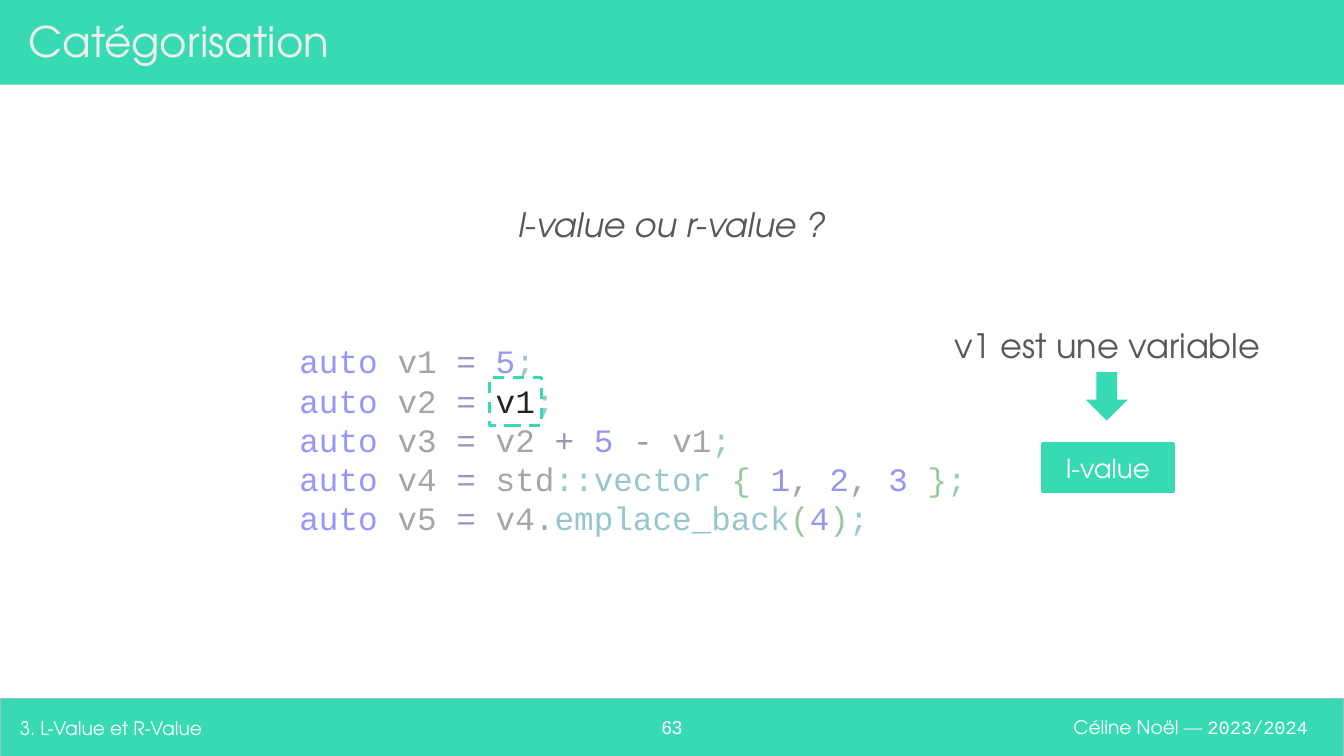
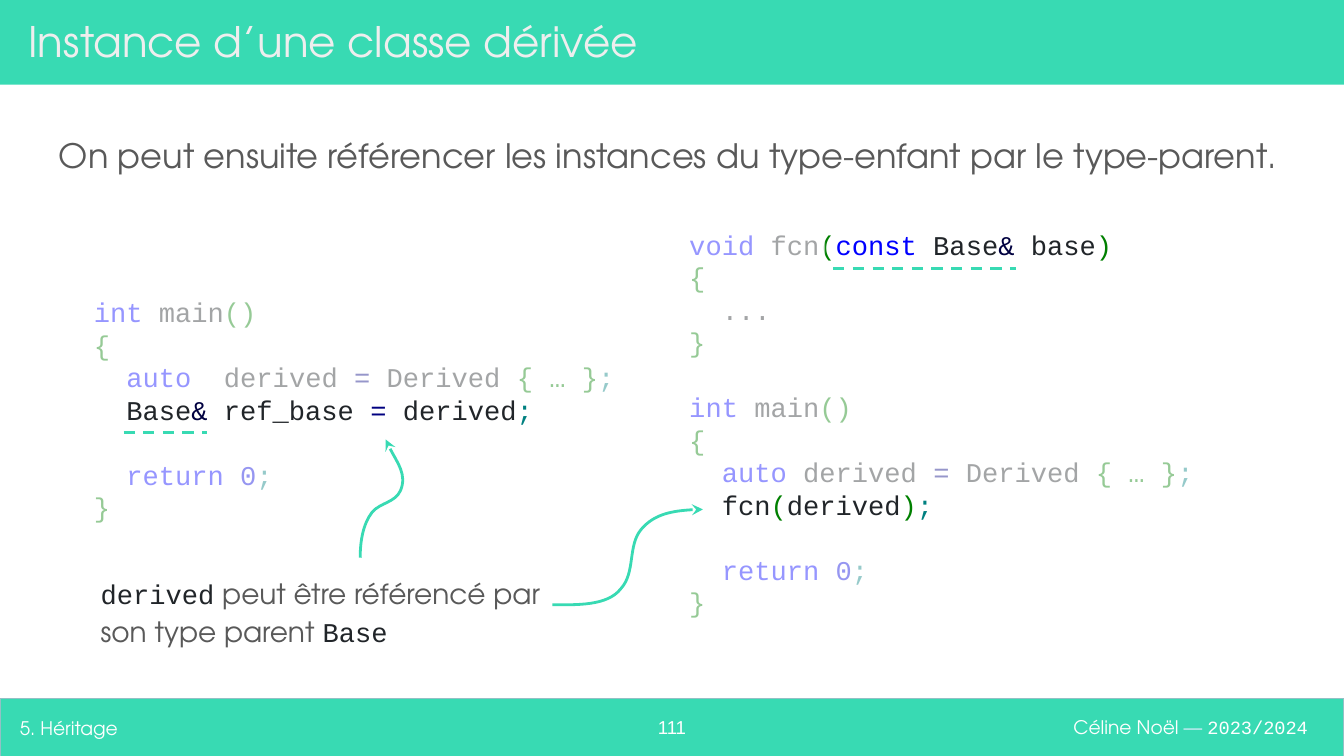
"""Build two course slides on C++ value categories and inheritance."""
from lxml import etree
from pptx import Presentation
from pptx.dml.color import RGBColor
from pptx.enum.dml import MSO_LINE
from pptx.enum.shapes import MSO_CONNECTOR, MSO_SHAPE
from pptx.enum.text import MSO_ANCHOR, MSO_AUTO_SIZE, PP_ALIGN
from pptx.oxml.ns import qn
from pptx.util import Inches, Pt

RECTANGLE = MSO_SHAPE.RECTANGLE
PROCESS = MSO_SHAPE.FLOWCHART_PROCESS
DOWN_ARROW = MSO_SHAPE.DOWN_ARROW
STRAIGHT = MSO_CONNECTOR.STRAIGHT
DASH = MSO_LINE.DASH
LEFT, CENTER, RIGHT = PP_ALIGN.LEFT, PP_ALIGN.CENTER, PP_ALIGN.RIGHT
TOP, MIDDLE = MSO_ANCHOR.TOP, MSO_ANCHOR.MIDDLE
NO_FIT, GROW = MSO_AUTO_SIZE.NONE, MSO_AUTO_SIZE.SHAPE_TO_FIT_TEXT

SANS, MONO, ARIAL = "TeX Gyre Adventor", "Courier New", "Arial"
GREEN, WHITE, GREY, INK = "38DAB3", "FFFFFF", "595959", "212529"
KEYWORD, NUMBER = "0000FF", "0000DD"
VEIL_OPACITY = 59000
TOKEN_COLOURS = {
    **dict.fromkeys(["auto", "int", "void", "const", "return"], KEYWORD),
    **dict.fromkeys("012345", NUMBER),
    **dict.fromkeys(["{", "}", "(", ")", "()", "{ … }"], "008000"),
    **dict.fromkeys([";", "::"], "008080"),
    **dict.fromkeys(["vector", "emplace_back"], "007788"),
    **dict.fromkeys("+-&", "000040"),
    "=": "000080",
}

VALUES_CODE = """\
auto| v1 |=| |5|;
auto| v2 |=| v1|;
auto| v3 |=| v2 |+| |5| |-| v1|;
auto| v4 |=| std|::|vector| |{| |1|, |2|, |3| |}|;
auto| v5 |=| v4.|emplace_back|(|4|)|;"""

REFERENCE_CODE = """\
int| main|()
{
  |auto|  derived |=| Derived |{ … }|;
  Base|&| ref_base |=| derived|;
 
  |return |0|;
}"""

FUNCTION_CODE = """\
void| fcn|(|const| Base|&| base|)
{
  ...
}
 
int| main|()
{
  |auto| derived |=| Derived |{ … }|;
  fcn|(|derived|)|;
 
  |return |0|;
}"""


def rgb(value):
    """Turn a hex string into a colour."""
    return RGBColor.from_string(value)


def inches(*lengths):
    """Convert numbers to lengths."""
    return [Inches(length) for length in lengths]


def set_frame(frame, anchor=TOP, fit=NO_FIT):
    """Give a text frame its margins, wrapping and anchor."""
    frame.word_wrap = True
    frame.auto_size = fit
    frame.vertical_anchor = anchor
    frame.margin_left = frame.margin_right = Inches(0.1)
    frame.margin_top = frame.margin_bottom = Inches(0.1)


def style(span, size, name, colour, italic=None):
    """Format one run."""
    span.font.size = Pt(size)
    span.font.name = name
    span.font.italic = italic
    span.font.color.rgb = rgb(colour)


def add_spans(para, spans):
    """Add runs given as text, size, font and colour."""
    for text, *look in spans:
        span = para.add_run()
        span.text = text
        style(span, *look)


def add_text(page, place, spans, align=LEFT, anchor=TOP, fit=NO_FIT, body=False):
    """Add a text box with one paragraph of runs."""
    box = page.shapes.add_textbox(*inches(*place))
    set_frame(box.text_frame, anchor, fit)
    para = box.text_frame.paragraphs[0]
    para.alignment = align
    if body:
        para.line_spacing = 1.15
        para.space_after = Pt(12)
    add_spans(para, spans)
    return box


def add_code(page, place, code, size):
    """Add highlighted code whose tokens are split by bars."""
    box = page.shapes.add_textbox(*inches(*place))
    frame = box.text_frame
    set_frame(frame, fit=GROW)
    for index, row in enumerate(code.split("\n")):
        para = frame.add_paragraph() if index else frame.paragraphs[0]
        add_spans(para, [
            (token, size, MONO, TOKEN_COLOURS.get(token.strip(), INK))
            for token in row.split("|")
        ])


def set_line(shape, colour, width=1.5, dash=None):
    """Format an outline."""
    shape.line.color.rgb = rgb(colour)
    shape.line.width = Pt(width)
    if dash:
        shape.line.dash_style = dash


def add_block(page, kind, place, fill=None):
    """Add a preset shape without outline or shadow."""
    block = page.shapes.add_shape(kind, *inches(*place))
    block.shadow.inherit = False
    block.line.fill.background()
    if fill:
        block.fill.solid()
        block.fill.fore_color.rgb = rgb(fill)
    else:
        block.fill.background()
    return block


def add_veils(page, places):
    """Fade parts of the code with translucent white."""
    for place in places:
        veil = add_block(page, RECTANGLE, place, WHITE)
        colour = next(veil.element.spPr.iter(qn("a:srgbClr")))
        etree.SubElement(colour, qn("a:alpha"), val=str(VEIL_OPACITY))


def add_underline(page, left, right, y):
    """Add a dashed horizontal line."""
    rule = page.shapes.add_connector(STRAIGHT, *inches(left, y, right, y))
    set_line(rule, GREEN, dash=DASH)
    etree.SubElement(rule.element.spPr, qn("a:effectLst"))


def add_curved_arrow(page, start, points):
    """Add an arrow along cubic curves, three points to a curve."""
    builder = page.shapes.build_freeform(*inches(*start))
    builder.add_line_segments([inches(*point) for point in points], close=False)
    arrow = builder.convert_to_shape()
    arrow.shadow.inherit = False
    arrow.fill.background()
    set_line(arrow, GREEN)
    outline = arrow.element.spPr.find(qn("a:ln"))
    etree.SubElement(outline, qn("a:tailEnd"), type="stealth")
    track = next(arrow.element.spPr.iter(qn("a:path")))
    segments = track.findall(qn("a:lnTo"))
    for index in range(0, len(segments), 3):
        curve = etree.SubElement(track, qn("a:cubicBezTo"))
        for segment in segments[index:index + 3]:
            curve.append(segment[0])
            track.remove(segment)


def add_bands(page):
    """Put the bands and the author on the layout of the page."""
    layout = page.slide_layout
    for holder in list(layout.placeholders)[1:]:
        holder.element.getparent().remove(holder.element)
    footer = add_block(page, RECTANGLE, (0, 5.2, 10, 0.44), GREEN)
    set_line(footer, "93C0C5", 0.75)
    author = add_text(page, (7.18, 5.19, 2.65, 0.44), [
        ("Céline Noël ", 10, SANS, WHITE),
        ("— ", 10, SANS, "E2EEFF"),
        ("2023/2024", 10, MONO, WHITE),
    ], RIGHT, MIDDLE)
    header = add_block(page, RECTANGLE, (0, 0, 10, 0.63), GREEN)
    for shape in (footer, author, header):
        layout.shapes.element.append(shape.element)


def add_page(deck, title, section, number):
    """Add a page with its title, section and number."""
    page = deck.slides.add_slide(deck.slide_layouts[5])
    if len(deck.slides) == 1:
        add_bands(page)
    heading = page.shapes.title
    heading.left, heading.top, heading.width, heading.height = inches(
        0.11, 0.06, 9.48, 0.48)
    heading.text_frame.text = title
    set_frame(heading.text_frame, MIDDLE)
    para = heading.text_frame.paragraphs[0]
    para.alignment = LEFT
    style(para.runs[0], 22.5, SANS, "EEEEEE")
    add_text(page, (4.7, 5.23, 0.6, 0.36), [(number, 10, ARIAL, WHITE)], CENTER)
    add_text(page, (0.05, 5.2, 4.54, 0.44), [(section, 10, SANS, WHITE)],
             anchor=MIDDLE)
    return page


def add_category_page(deck):
    """Ask whether an expression is an l-value or an r-value."""
    page = add_page(deck, "Catégorisation", "3. L-Value et R-Value", "63")
    add_text(page, (0.32, 1.37, 9.36, 0.59),
             [("l-value ou r-value ?", 18, SANS, GREY, True)], CENTER, body=True)
    add_code(page, (2.13, 2.44, 5.24, 1.67), VALUES_CODE, 17.5)
    add_veils(page, [
        (2.13, 2.86, 1.45, 0.29),
        (2.17, 3.16, 5.17, 0.94),
        (3.98, 2.82, 0.24, 0.31),
        (2.19, 2.52, 1.91, 0.29),
    ])
    add_block(page, DOWN_ARROW, (8.08, 2.77, 0.31, 0.36), GREEN)
    answer = add_block(page, PROCESS, (7.76, 3.3, 0.97, 0.36), GREEN)
    set_line(answer, GREEN)
    set_frame(answer.text_frame, MIDDLE)
    answer.text_frame.text = "l-value"
    para = answer.text_frame.paragraphs[0]
    para.alignment = CENTER
    style(para.runs[0], 14, SANS, WHITE)
    focus = add_block(page, RECTANGLE, (3.64, 2.81, 0.39, 0.36))
    set_line(focus, GREEN, dash=DASH)
    add_text(page, (6.76, 2.27, 2.96, 0.62),
             [("v1 est une variable", 18, SANS, GREY)], CENTER, body=True)


def add_inheritance_page(deck):
    """Show references to a derived object through its parent type."""
    page = add_page(deck, "Instance d’une classe dérivée", "5. Héritage", "111")
    add_code(page, (0.6, 2.1, 4.1, 1.91), REFERENCE_CODE, 14.5)
    add_code(page, (5.03, 1.6, 4.32, 3.13), FUNCTION_CODE, 14.5)
    add_veils(page, [
        (0.61, 2.12, 4.15, 0.81),
        (0.65, 3.4, 3.64, 0.58),
        (4.92, 3.97, 4.25, 0.78),
        (5.03, 1.99, 4.25, 1.66),
        (5.07, 1.63, 1.07, 0.36),
    ])
    add_text(page, (0.65, 4.15, 3.82, 0.74), [
        ("derived", 14.5, MONO, INK),
        (" peut être référencé par son type parent ", 15, SANS, GREY),
        ("Base", 14.5, MONO, INK),
    ], fit=GROW, body=True)
    add_curved_arrow(page, (2.68, 4.15), [
        (2.68, 4.03), (2.7, 3.9), (2.77, 3.81),
        (2.83, 3.74), (2.94, 3.74), (2.98, 3.65),
        (3.03, 3.53), (2.92, 3.39), (2.87, 3.27),
    ])
    add_underline(page, 0.92, 1.54, 3.22)
    add_underline(page, 6.2, 7.56, 2)
    add_curved_arrow(page, (4.11, 4.5), [
        (4.29, 4.5), (4.52, 4.51), (4.62, 4.38),
        (4.73, 4.26), (4.67, 4.06), (4.77, 3.94),
        (4.87, 3.82), (5.07, 3.79), (5.23, 3.79),
    ])
    add_text(page, (0.34, 0.86, 9.36, 0.74), [(
        "On peut ensuite référencer les instances du type-enfant "
        "par le type-parent.", 18, SANS, GREY)], body=True)


def main():
    """Build and save the deck."""
    deck = Presentation()
    deck.slide_width, deck.slide_height = inches(10, 10 * 9 / 16)
    add_category_page(deck)
    add_inheritance_page(deck)
    deck.save("out.pptx")


if __name__ == "__main__":
    main()
